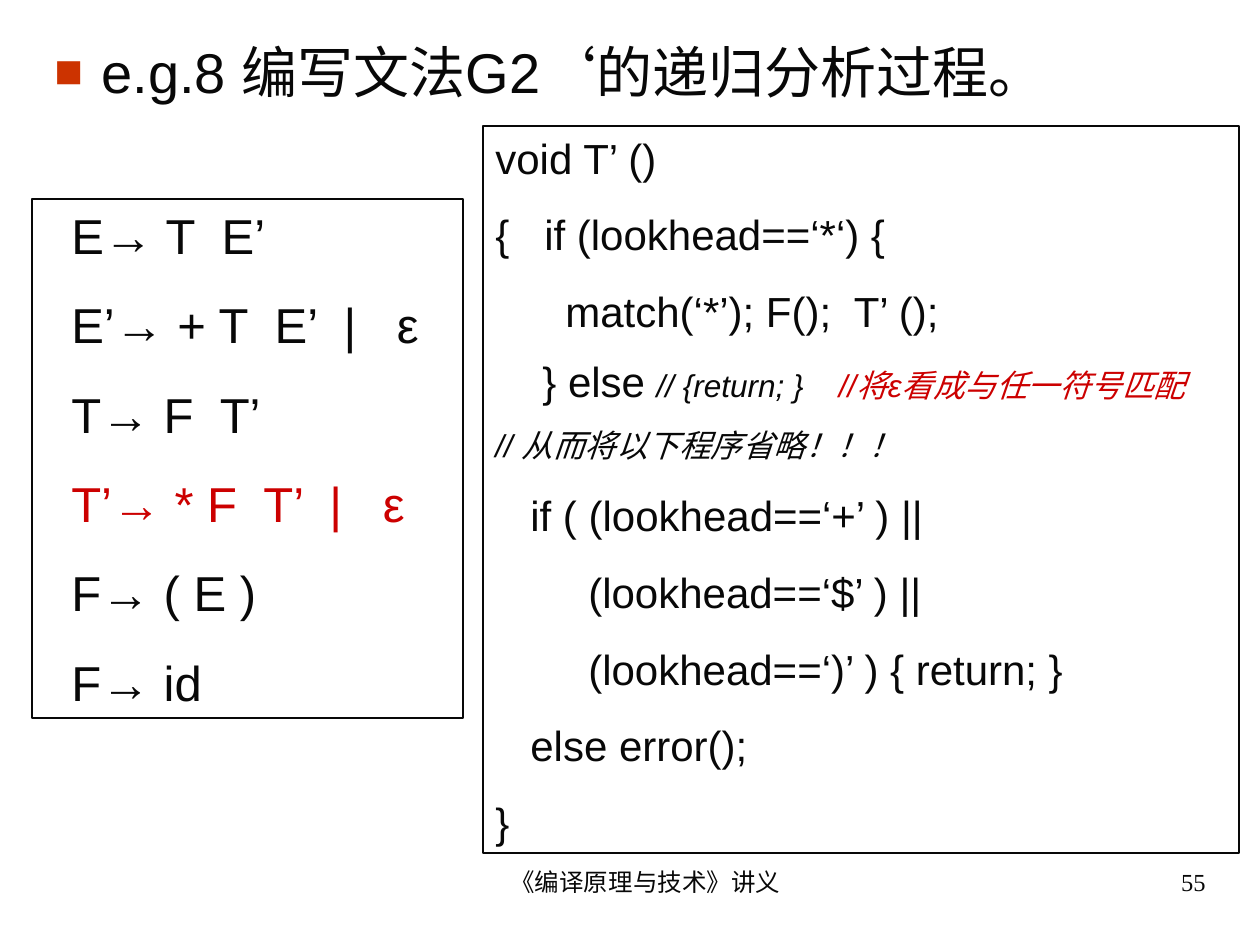
from dataclasses import dataclass

from lxml import etree
from pptx import Presentation
from pptx import util as u
from pptx.dml.color import RGBColor
from pptx.enum import shapes, text
from pptx.oxml import ns

PX = 914400 / 126


@dataclass(frozen=True)
class Theme:
    """Colours, fonts, type sizes and paragraph gaps of the deck."""
    ink: str = "080808"
    accent: str = "CC0000"
    bullet: str = "CC3300"
    sans: str = "Arial"
    serif: str = "Times New Roman"
    title: int = 32
    grammar: int = 28
    code: int = 24
    comment: int = 18
    footer: int = 14
    grammar_gap: float = 17.5
    code_gap: float = 15
    comment_gap: float = 11.25


THEME = Theme()


def px(length):
    """Turn a pixel length into EMU."""
    return u.Emu(round(length * PX))


def child(parent, tag, **attributes):
    """Append a drawing element to its parent."""
    values = {key: str(value) for key, value in attributes.items()}
    return etree.SubElement(parent, ns.qn(tag), values)


def style(span, size, color=THEME.ink, font=THEME.sans, italic=False):
    """Format one run of text."""
    span.font.size = u.Pt(size)
    span.font.name = font
    span.font.italic = italic
    span.font.color.rgb = RGBColor.from_string(color)


def set_indent(para, margin, first):
    """Set the left margin and first-line indent of a paragraph."""
    properties = para._p.get_or_add_pPr()
    properties.set("marL", str(px(margin)))
    properties.set("indent", str(px(first)))


def add_text(page, box, content):
    """Place a wrapped one-paragraph text box and return its paragraph."""
    frame = page.shapes.add_textbox(*map(px, box)).text_frame
    frame.word_wrap = True
    para = frame.paragraphs[0]
    para.text = content
    return para


def add_heading(page, box):
    """Place the bulleted heading."""
    para = add_text(page, box, "e.g.8 编写文法G2‘的递归分析过程。")
    style(para.runs[0], THEME.title)
    para.space_before = u.Pt(8)
    set_indent(para, 47, -47)
    properties = para._p.get_or_add_pPr()
    child(child(properties, "a:buClr"), "a:srgbClr", val=THEME.bullet)
    child(properties, "a:buSzPct", val=85000)
    child(properties, "a:buFont", typeface=THEME.sans)
    child(properties, "a:buChar", char="■")


def add_listing(page, box, rows):
    """Place a framed listing of (indent, space before, spans) rows."""
    panel = page.shapes.add_shape(shapes.MSO_SHAPE.RECTANGLE, *map(px, box))
    panel.shadow.inherit = False
    panel.fill.background()
    panel.line.color.rgb = RGBColor.from_string(THEME.ink)
    panel.line.width = u.Pt(0.75)
    frame = panel.text_frame
    frame.word_wrap = True
    frame.auto_size = text.MSO_AUTO_SIZE.SHAPE_TO_FIT_TEXT
    frame.vertical_anchor = text.MSO_ANCHOR.TOP
    for index, (indent, gap, spans) in enumerate(rows):
        para = frame.add_paragraph() if index else frame.paragraphs[0]
        para.alignment = text.PP_ALIGN.LEFT
        para.space_before = u.Pt(gap)
        set_indent(para, 0, indent)
        for content, *look in spans:
            span = para.add_run()
            span.text = content
            style(span, *look)


def add_grammar(page, box):
    """Place the grammar rules."""
    rules = [
        ("E→ T  E’", THEME.ink),
        ("E’→ + T  E’  |   ε", THEME.ink),
        ("T→ F  T’", THEME.ink),
        ("T’→ * F  T’  |   ε", THEME.accent),
        ("F→ ( E )", THEME.ink),
        ("F→ id", THEME.ink),
    ]
    add_listing(page, box, [
        (27, THEME.grammar_gap, [(rule, THEME.grammar, color)])
        for rule, color in rules
    ])


def add_procedure(page, box):
    """Place the recursive procedure with its comments."""
    def code(indent, content):
        """Describe one plain line of code."""
        return indent, THEME.code_gap, [(content, THEME.code)]

    def comment(content, color=THEME.ink):
        """Describe one italic comment."""
        return content, THEME.comment, color, THEME.sans, True

    add_listing(page, box, [
        code(0, "void T’ ()"),
        code(0, "{   if (lookhead==‘*‘) {"),
        code(70, "match(‘*’); F();  T’ ();"),
        (47, THEME.comment_gap, [
            ("} else ", THEME.code),
            comment("// {return; }    "),
            comment("//将ε看成与任一符号匹配", THEME.accent),
        ]),
        (0, THEME.comment_gap, [comment("// 从而将以下程序省略！！！")]),
        code(35, "if ( (lookhead==‘+’ ) ||"),
        code(93, "(lookhead==‘$’ ) ||"),
        code(93, "(lookhead==‘)’ ) { return; }"),
        code(35, "else error();"),
        code(0, "}"),
    ])


def add_footer(page, box, content, alignment):
    """Place one footer text."""
    para = add_text(page, box, content)
    style(para.runs[0], THEME.footer, font=THEME.serif)
    para.alignment = alignment
    set_indent(para, 30, 0)


def main():
    """Build and save the deck."""
    deck = Presentation()
    deck.slide_width, deck.slide_height = px(1260), px(945)
    page = deck.slides.add_slide(deck.slide_layouts[6])
    add_heading(page, (42, 31, 1177, 84))
    add_grammar(page, (32, 199, 431, 519))
    add_procedure(page, (483, 126, 756, 727))
    add_footer(page, (431, 861, 399, 66), "《编译原理与技术》讲义", text.PP_ALIGN.CENTER)
    add_footer(page, (903, 861, 315, 66), "55", text.PP_ALIGN.RIGHT)
    deck.save("out.pptx")


if __name__ == "__main__":
    main()
